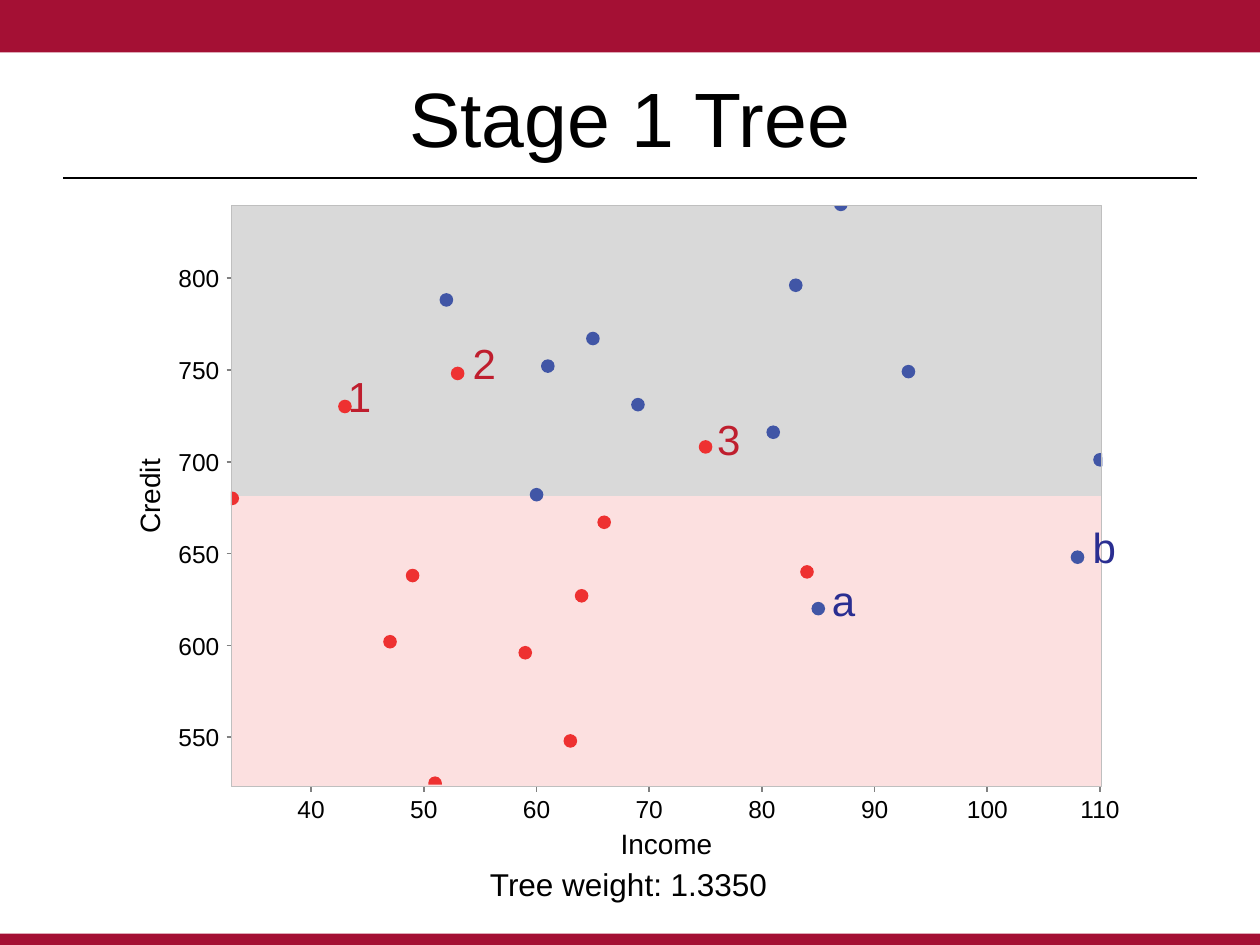
from pptx import Presentation
from pptx.dml.color import RGBColor
from pptx.enum.shapes import MSO_CONNECTOR, MSO_SHAPE
from pptx.enum.text import MSO_ANCHOR, PP_ALIGN
from pptx.util import Pt
from lxml import etree

RECT, OVAL, CHORD = MSO_SHAPE.RECTANGLE, MSO_SHAPE.OVAL, MSO_SHAPE.CHORD
STRAIGHT = MSO_CONNECTOR.STRAIGHT
TOP, MIDDLE = MSO_ANCHOR.TOP, MSO_ANCHOR.MIDDLE
LEFT, CENTER, RIGHT = PP_ALIGN.LEFT, PP_ALIGN.CENTER, PP_ALIGN.RIGHT
DRAWING_NS = "http://schemas.openxmlformats.org/drawingml/2006/main"

COLORS = {
    "crimson": "A41034", "black": "000000", "tick": "808080",
    "low": "FCE0E0", "low_edge": "F2F2F2", "high": "D9D9D9", "frame": "BFBFBF",
    "red": "EE3131", "blue": "4156A6", "red_note": "BF1E2E", "blue_note": "2A2E91",
}
COLORS = {key: RGBColor.from_string(value) for key, value in COLORS.items()}

prs = Presentation()
prs.slide_width, prs.slide_height = Pt(720), Pt(540)
slide = prs.slides.add_slide(prs.slide_layouts[6])


def add_mark(shapes, kind, box, fill=None, line=None, width=0.5):
    """Add a preset shape, or a straight line when kind is STRAIGHT.

    For a line, box is x1, y1, x2, y2; otherwise left, top, width, height.
    """
    lengths = [Pt(value) for value in box]
    if kind is STRAIGHT:
        mark = shapes.add_connector(kind, *lengths)
        etree.SubElement(mark._element.spPr, f"{{{DRAWING_NS}}}effectLst")
    else:
        mark = shapes.add_shape(kind, *lengths)
        mark.shadow.inherit = False
        if fill:
            mark.fill.solid()
            mark.fill.fore_color.rgb = COLORS[fill]
        else:
            mark.fill.background()
    if line:
        mark.line.color.rgb = COLORS[line]
        mark.line.width = Pt(width)
    else:
        mark.line.fill.background()
    return mark


def add_label(shapes, text, box, size, color="black", align=CENTER, anchor=TOP, wrap=False):
    label = shapes.add_textbox(*[Pt(value) for value in box])
    frame = label.text_frame
    frame.word_wrap, frame.vertical_anchor = wrap, anchor
    paragraph = frame.paragraphs[0]
    paragraph.alignment = align
    run = paragraph.add_run()
    run.text = text
    for name, value in {"name": "Arial", "size": Pt(size)}.items():
        setattr(run.font, name, value)
    run.font.color.rgb = COLORS[color]
    return label


# Slide frame and title
add_mark(slide.shapes, RECT, (0, 0, 720, 30), "crimson")
add_mark(slide.shapes, RECT, (0, 533.5, 720, 6.5), "crimson")
add_mark(slide.shapes, STRAIGHT, (36, 101.9, 684, 101.9), line="black", width=1.25)
add_label(slide.shapes, "Stage 1 Tree", (36, 21.6, 648, 90), 44, anchor=MIDDLE, wrap=True)
add_label(slide.shapes, "Tree weight: 1.3350", (272.9, 491, 174.2, 29), 18, align=LEFT)

# Scatter plot: income across, credit upwards
PLOT_LEFT, PLOT_TOP, PLOT_WIDTH, PLOT_HEIGHT = 132.5, 117.4, 496.8, 331.9
PLOT_BOTTOM = PLOT_TOP + PLOT_HEIGHT
X_AT_40, X_STEP = 177.8, 6.44
Y_AT_800, Y_STEP = 158.8, 1.05
DOT = 7.8
plot = slide.shapes.add_group_shape().shapes

for income in range(40, 111, 10):
    x = X_AT_40 + (income - 40) * X_STEP
    add_mark(plot, STRAIGHT, (x, PLOT_BOTTOM + 3, x, PLOT_BOTTOM), line="tick", width=1)
    add_label(plot, str(income), (x - 19, 450, 38, 24.5), 14)
add_label(plot, "Income", (345.8, 468.7, 70, 24.5), 16)

for credit in range(800, 549, -50):
    y = Y_AT_800 + (800 - credit) * Y_STEP
    add_mark(plot, STRAIGHT, (PLOT_LEFT - 3, y, PLOT_LEFT, y), line="tick", width=1)
    add_label(plot, str(credit), (94.3, y - 12, 38.2, 24.5), 14, align=RIGHT)
add_label(plot, "Credit", (49.2, 271.4, 70, 24.5), 16).rotation = 270

add_mark(plot, RECT, (PLOT_LEFT, PLOT_TOP, PLOT_WIDTH, PLOT_HEIGHT), "low", "low_edge")
add_mark(plot, RECT, (PLOT_LEFT, PLOT_TOP, PLOT_WIDTH, PLOT_HEIGHT / 2), "high")

observations = {
    "red": [(66, 667), (84, 640), (75, 708), (49, 638), (64, 627), (59, 596),
            (63, 548), (47, 602), (51, 525), (33, 680), (43, 730), (53, 748)],
    "blue": [(61, 752), (60, 682), (69, 731), (52, 788), (65, 767), (83, 796),
             (81, 716), (93, 749), (85, 620), (108, 648), (87, 840), (110, 701)],
}
# Dots cut by the plot edge: chord start, chord end, rotation
edge_cuts = {
    (51, 525): (100.81, 6.92, 0), (33, 680): (100.81, 6.92, 90),
    (87, 840): (4.39, 104.51, 0), (110, 701): (204.16, 119.03, 90),
}
for color, points in observations.items():
    for income, credit in points:
        x = X_AT_40 + (income - 40) * X_STEP
        y = Y_AT_800 + (800 - credit) * Y_STEP
        cut = edge_cuts.get((income, credit))
        dot = add_mark(plot, CHORD if cut else OVAL,
                       (x - DOT / 2, y - DOT / 2, DOT, DOT), color)
        if cut:
            dot.adjustments[0], dot.adjustments[1], dot.rotation = cut

add_mark(plot, RECT, (PLOT_LEFT, PLOT_TOP, PLOT_WIDTH, PLOT_HEIGHT), line="frame", width=0.75)

notes = [
    ("2", 262.8, 189.4, "red_note"), ("3", 402.5, 232.6, "red_note"),
    ("a", 468, 324.7, "blue_note"), ("b", 617, 294.5, "blue_note"),
    ("1", 191.5, 208.1, "red_note"),
]
for text, left, top, color in notes:
    add_label(plot, text, (left, top, 28, 36), 24, color, anchor=MIDDLE)

prs.save("out.pptx")
